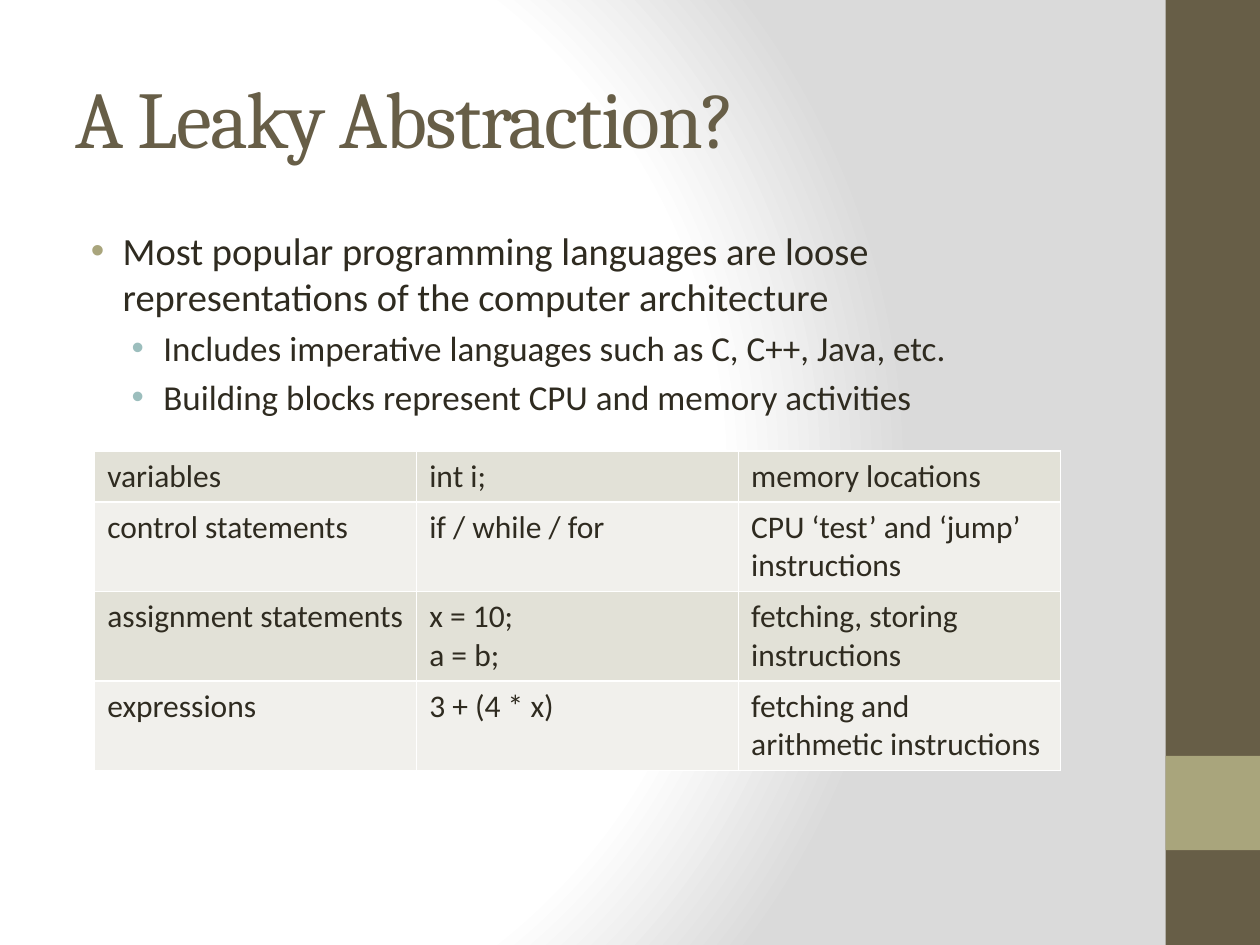
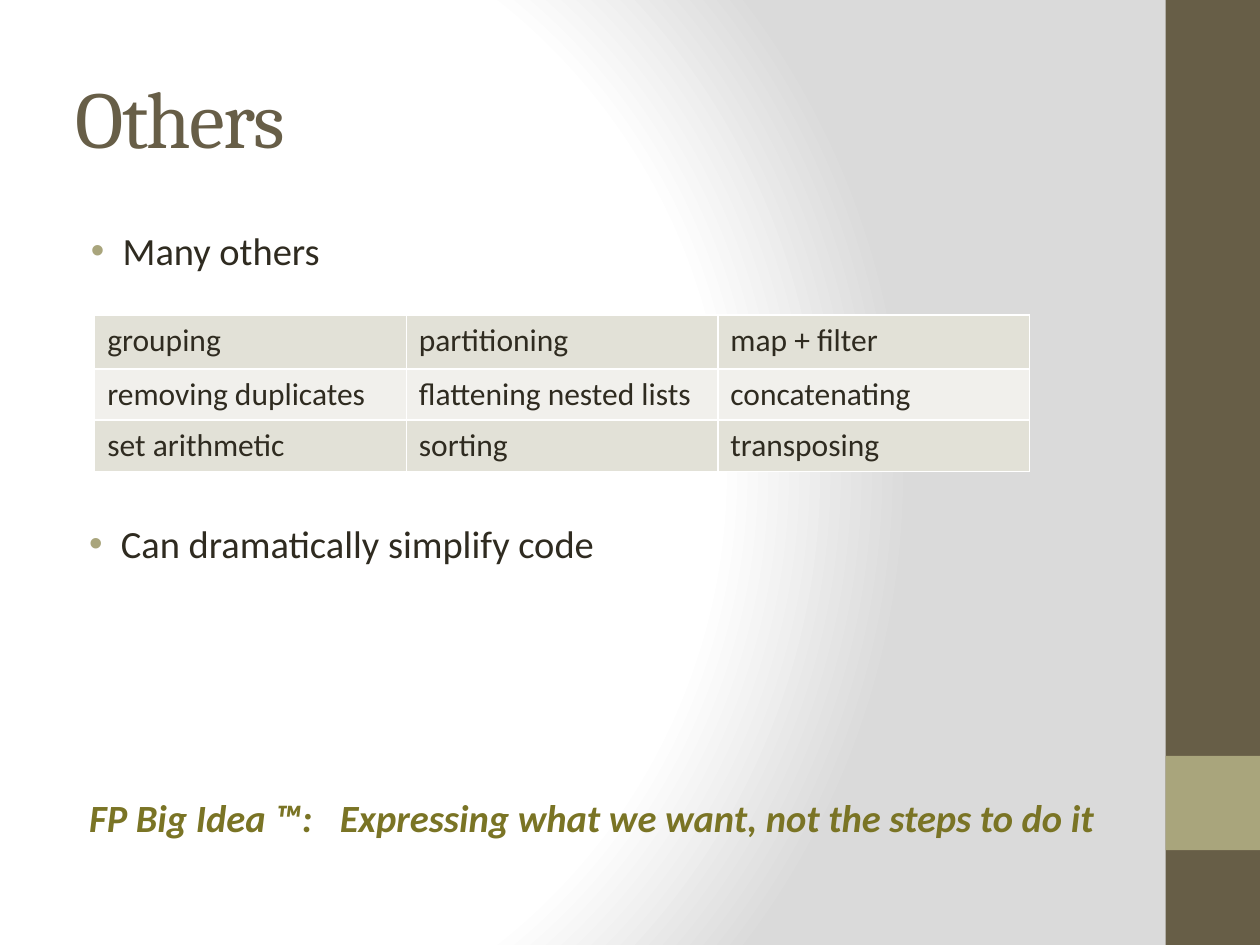
import pptx
import pptx.dml.color
import pptx.enum.shapes
import pptx.enum.text
import pptx.oxml
import pptx.oxml.ns
import pptx.util
from lxml import etree

Cm, Pt = pptx.util.Cm, pptx.util.Pt
qn = pptx.oxml.ns.qn

# Shared look
BROWN, KHAKI, TEAL = "675E47", "A9A57C", "9CBEBD"
INK, OLIVE, WHITE, GREY = "2F2B20", "7A7425", "FFFFFF", "DADADA"
ROW_FILLS = ("E2E1D7", "F1F0EC")
HEAD_FONT, BODY_FONT = "Cambria", "Calibri"
LEVELS = (  # size, left margin, bullet colour
    (22, 0.95, KHAKI),
    (20, 1.77, TEAL),
)
HANGING = 0.64
BODY_LEFT, BODY_TOP, TEXT_WIDTH = 1.27, 4.45, 21.16
BOX_LEFT, TABLE_LEFT = 1.24, 1.91
ONE_LINE, TWO_LINES = 1.03, 1.8


def rgb(color):
    return pptx.dml.color.RGBColor.from_string(color)


def sub(parent, tag, **attrs):
    return etree.SubElement(parent, qn(tag), attrs)


def place(sp, left, top, width, height):
    sp.left, sp.top, sp.width, sp.height = map(Cm, (left, top, width, height))


def add_run(p, text, size, color=INK, font=BODY_FONT, strong=False):
    r = p.add_run()
    r.text = text
    r.font.size, r.font.name = Pt(size), font
    r.font.color.rgb = rgb(color)
    if strong:
        r.font.bold = r.font.italic = True
    return r


def set_background(master):
    """Give every slide the circular white-to-grey gradient."""
    c_sld = master.element.find(qn("p:cSld"))
    for old in c_sld.findall(qn("p:bg")):
        c_sld.remove(old)
    bg = etree.Element(qn("p:bg"))
    c_sld.insert(0, bg)
    bg_pr = sub(bg, "p:bgPr")
    grad = sub(bg_pr, "a:gradFill", rotWithShape="1")
    stops = sub(grad, "a:gsLst")
    for percent, color in ((0, WHITE), (75, WHITE), (100, GREY)):
        stop = sub(stops, "a:gs", pos=str(percent * 1000))
        sub(stop, "a:srgbClr", val=color)
    circle = sub(grad, "a:path", path="circle")
    sub(circle, "a:fillToRect", l="20000", t="50000", r="100000", b="50000")
    sub(bg_pr, "a:effectLst")


def add_band(slide, top, height, color):
    sp = slide.shapes.add_shape(pptx.enum.shapes.MSO_SHAPE.RECTANGLE,
                                Cm(23.5), Cm(top), Cm(1.9), Cm(height))
    sp.shadow.inherit = False
    sp.fill.solid()
    sp.fill.fore_color.rgb = rgb(color)
    sp.line.fill.background()


def add_titled_slide(prs, title):
    slide = prs.slides.add_slide(prs.slide_layouts[1])
    add_band(slide, 0, 19.05, BROWN)
    add_band(slide, 15.24, 1.9, KHAKI)
    sp = slide.shapes.title
    place(sp, BODY_LEFT, 0.76, TEXT_WIDTH, 3.18)
    tf = sp.text_frame
    tf.vertical_anchor = pptx.enum.text.MSO_ANCHOR.MIDDLE
    p = tf.paragraphs[0]
    p.alignment = pptx.enum.text.PP_ALIGN.LEFT
    r = add_run(p, title, 46, BROWN, HEAD_FONT)
    r.font._element.set("spc", "-100")
    return slide


def write_bullets(tf, items):
    """Fill a text frame with (level, text) items."""
    tf.word_wrap = True
    tf.auto_size = pptx.enum.text.MSO_AUTO_SIZE.NONE
    for i, (level, text) in enumerate(items):
        p = tf.add_paragraph() if i else tf.paragraphs[0]
        size, margin, color = LEVELS[level]
        p.level = level
        p.space_before = Pt(0.2 * size)
        p_pr = p._p.get_or_add_pPr()
        p_pr.set("marL", str(Cm(margin)))
        p_pr.set("indent", str(-Cm(HANGING)))
        sub(sub(p_pr, "a:buClr"), "a:srgbClr", val=color)
        sub(p_pr, "a:buFont", typeface="Arial")
        sub(p_pr, "a:buChar", char="•")
        add_run(p, text, size)


def fill_body(slide, height, items):
    sp = slide.placeholders[1]
    place(sp, BODY_LEFT, BODY_TOP, TEXT_WIDTH, height)
    write_bullets(sp.text_frame, items)


def add_text_box(slide, top, height):
    sp = slide.shapes.add_textbox(Cm(BOX_LEFT), Cm(top),
                                  Cm(TEXT_WIDTH), Cm(height))
    sp.text_frame.word_wrap = True
    return sp.text_frame


def add_big_idea(slide, label, idea):
    """Write a strong closing line, its idea set at a tab stop."""
    tf = add_text_box(slide, 15.88, 2.11)
    tf.margin_left = Cm(0.56)
    p = tf.paragraphs[0]
    p.space_before = Pt(4.4)
    tabs = sub(p._p.get_or_add_pPr(), "a:tabLst")
    sub(tabs, "a:tab", pos=str(Cm(5.05)), algn="l")
    for text in (label + "\t", idea):
        add_run(p, text, 22, OLIVE, strong=True)


def style_cell(cell, text, fill):
    tc_pr = cell._tc.get_or_add_tcPr()
    for side in ("a:lnL", "a:lnR", "a:lnT", "a:lnB"):
        line = sub(tc_pr, side, w=str(Pt(1)))
        sub(sub(line, "a:solidFill"), "a:srgbClr", val=WHITE)
    cell.fill.solid()
    cell.fill.fore_color.rgb = rgb(fill)
    tf = cell.text_frame
    for i, line_text in enumerate(text.split("\n")):
        p = tf.add_paragraph() if i else tf.paragraphs[0]
        add_run(p, line_text, 18)


def add_banded_table(slide, top, col_width, heights, rows):
    n_cols = len(rows[0])
    frame = slide.shapes.add_table(len(rows), n_cols, Cm(TABLE_LEFT), Cm(top),
                                   Cm(col_width * n_cols), Cm(sum(heights)))
    table = frame.table
    table.first_row = table.horz_banding = False
    for column in table.columns:
        column.width = Cm(col_width)
    for i, (height, texts) in enumerate(zip(heights, rows)):
        table.rows[i].height = Cm(height)
        for j, text in enumerate(texts):
            style_cell(table.cell(i, j), text, ROW_FILLS[i % 2])


def build_leaky_abstraction(prs):
    slide = add_titled_slide(prs, "A Leaky Abstraction?")
    fill_body(slide, 4.24, [
        (0, "Most popular programming languages are loose "
            "representations of the computer architecture"),
        (1, "Includes imperative languages such as C, C++, Java, etc."),
        (1, "Building blocks represent CPU and memory activities"),
    ])
    add_banded_table(slide, 9.09, 6.49, [ONE_LINE] + [TWO_LINES] * 3, [
        ("variables", "int i;", "memory locations"),
        ("control statements", "if / while / for",
         "CPU ‘test’ and ‘jump’ instructions"),
        ("assignment statements", "x = 10;\na = b;",
         "fetching, storing instructions"),
        ("expressions", "3 + (4 * x)",
         "fetching and arithmetic instructions"),
    ])


def build_others(prs):
    slide = add_titled_slide(prs, "Others")
    fill_body(slide, 1.47, [(0, "Many others")])
    add_banded_table(slide, 6.35, 6.28, [1.09, ONE_LINE, ONE_LINE], [
        ("grouping", "partitioning", "map + filter"),
        ("removing duplicates", "flattening nested lists", "concatenating"),
        ("set arithmetic", "sorting", "transposing"),
    ])
    write_bullets(add_text_box(slide, 10.36, 4.88),
                  [(0, "Can dramatically simplify code")])
    add_big_idea(slide, "FP Big Idea ™:",
                 "Expressing what we want, not the steps to do it")


def main():
    prs = pptx.Presentation()
    prs.slide_width, prs.slide_height = Cm(25.4), Cm(19.05)
    set_background(prs.slide_master)
    build_leaky_abstraction(prs)
    build_others(prs)
    prs.save("out.pptx")


if __name__ == "__main__":
    main()
